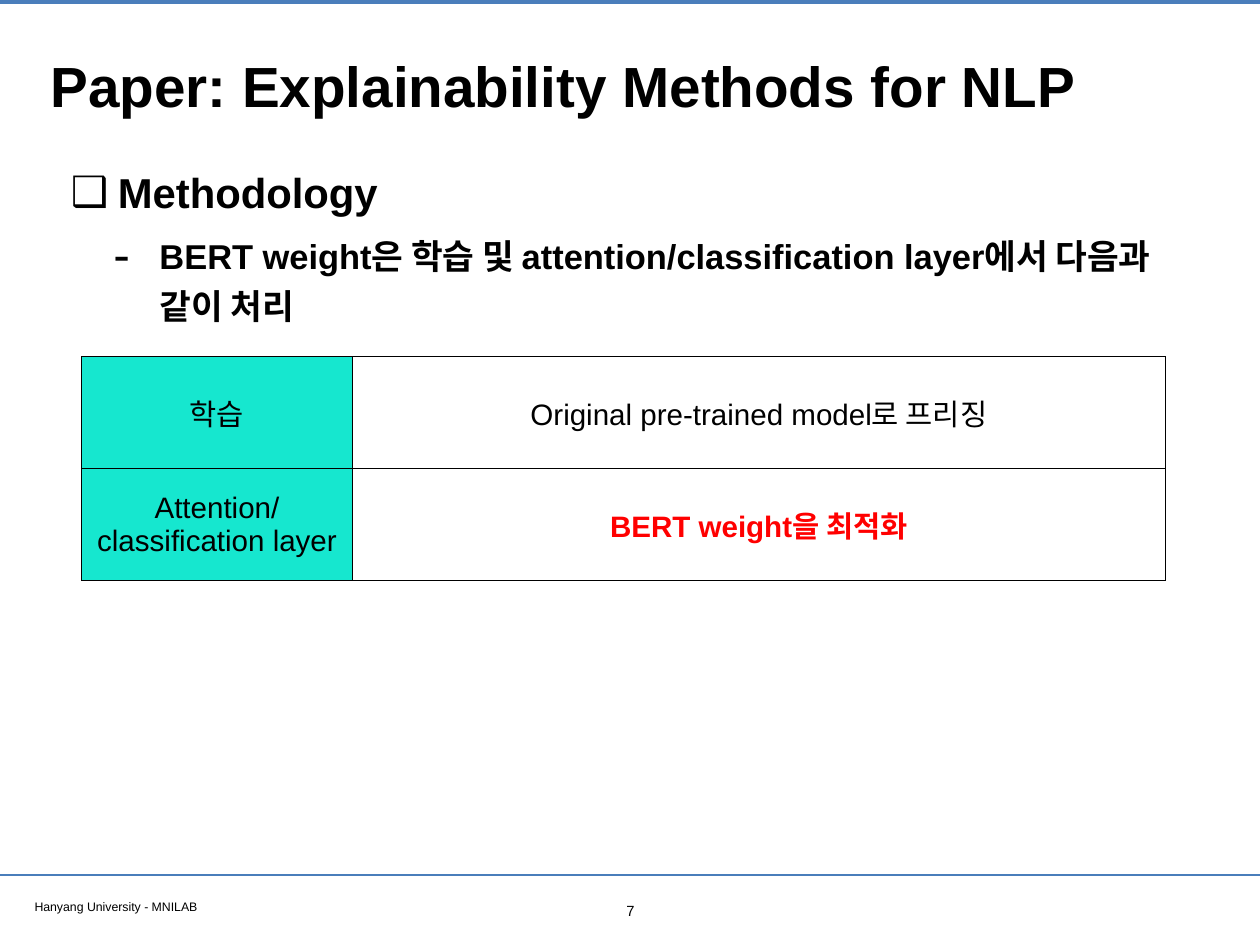
from lxml.etree import SubElement
from pptx import Presentation
from pptx.dml.color import RGBColor
from pptx.enum.shapes import MSO_CONNECTOR as Connector
from pptx.enum.text import MSO_ANCHOR as Anchor, PP_ALIGN as Align
from pptx.oxml.ns import qn
from pptx.util import Inches, Pt

COLORS = {"rule": "4A7EBB", "ink": "000000", "label": "16E7CF", "accent": "FF0000"}
TITLE = {"size": Pt(46), "bold": True}
HEADING = {"size": Pt(34), "bold": True}
DETAIL = {"size": Pt(28), "bold": True}
CELL = {"size": Pt(24), "bold": False}
KEY_CELL = {"size": Pt(24), "bold": True}
FOOTER = {"size": Pt(10)}
PAGE = {"size": Pt(12)}

POINTS = [
    ("Methodology", HEADING, "❑", 100, 0.53, -0.53),
    ("BERT weight은 학습 및 attention/classification layer에서 다음과 같이 처리",
     DETAIL, "-", 145, 1, -0.52),
]
WEIGHT_ROWS = [
    [("학습", CELL, "ink"), ("Original pre-trained model로 프리징", CELL, "ink")],
    [("Attention/classification layer", CELL, "ink"),
     ("BERT weight을 최적화", KEY_CELL, "accent")],
]


def rgb(key):
    return RGBColor.from_string(COLORS[key])


def write(paragraph, words, style, color="ink"):
    run = paragraph.add_run()
    run.text = words
    for name, value in {"name": "Arial", **style}.items():
        setattr(run.font, name, value)
    run.font.color.rgb = rgb(color)


def add_frame(slide, box, anchor=Anchor.TOP):
    frame = slide.shapes.add_textbox(*map(Inches, box)).text_frame
    settings = {"word_wrap": True, "vertical_anchor": anchor}
    settings.update({f"margin_{side}": Inches(0.06)
                     for side in ("left", "top", "right", "bottom")})
    for name, value in settings.items():
        setattr(frame, name, value)
    return frame


def add_label(slide, box, words, style, anchor=Anchor.TOP, align=Align.LEFT):
    paragraph = add_frame(slide, box, anchor).paragraphs[0]
    paragraph.alignment = align
    write(paragraph, words, style)


def add_rule(slide, left, top, width, weight):
    rule = slide.shapes.add_connector(
        Connector.STRAIGHT, *map(Inches, (left, top, left + width, top)))
    rule.line.color.rgb = rgb("rule")
    rule.line.width = Pt(weight)
    SubElement(rule._element.spPr, qn("a:effectLst"))


def set_bullet(paragraph, mark, percent, margin, indent):
    props = paragraph._p.get_or_add_pPr()
    props.set("marL", str(Inches(margin)))
    props.set("indent", str(Inches(indent)))
    SubElement(props, qn("a:buSzPct"), val=str(percent * 1000))
    SubElement(props, qn("a:buFont"), typeface="Arial")
    SubElement(props, qn("a:buChar"), char=mark)


def add_points(slide, box):
    frame = add_frame(slide, box)
    for index, (words, style, mark, percent, margin, indent) in enumerate(POINTS):
        paragraph = frame.add_paragraph() if index else frame.paragraphs[0]
        set_bullet(paragraph, mark, percent, margin, indent)
        paragraph.line_spacing = 1.2
        paragraph.space_before = Pt(8 if index else 0)
        write(paragraph, words, style)


def set_borders(cell):
    props = cell._tc.get_or_add_tcPr()
    for index, side in enumerate(("lnL", "lnR", "lnT", "lnB")):
        border = SubElement(props, qn(f"a:{side}"), w=str(Pt(1)))
        fill = SubElement(border, qn("a:solidFill"))
        SubElement(fill, qn("a:srgbClr"), val=COLORS["ink"])
        props.insert(index, border)


def add_weight_table(slide, box):
    left, top, width, height = map(Inches, box)
    table = slide.shapes.add_table(2, 2, left, top, width, height).table
    for column, share in zip(table.columns, (0.25, 0.75)):
        column.width = int(width * share)
    for r, row in enumerate(WEIGHT_ROWS):
        table.rows[r].height = height // len(WEIGHT_ROWS)
        for c, (words, style, color) in enumerate(row):
            cell = table.cell(r, c)
            cell.vertical_anchor = Anchor.MIDDLE
            if c == 0:
                cell.fill.solid()
                cell.fill.fore_color.rgb = rgb("label")
            else:
                cell.fill.background()
            set_borders(cell)
            paragraph = cell.text_frame.paragraphs[0]
            paragraph.alignment = Align.CENTER
            write(paragraph, words, style, color)


def add_footer(slide, left, top, width):
    add_rule(slide, left, top, width, 2)
    add_label(slide, (left + 0.33, top + 0.21, 5.46, 0.26),
              "Hanyang University - MNILAB", FOOTER)
    add_label(slide, (left + width / 2 - 0.19, top + 0.24, 0.39, 0.31),
              "7", PAGE, align=Align.CENTER)


def main():
    deck = Presentation()
    deck.slide_width, deck.slide_height = Inches(14.22), Inches(10.67)
    slide = deck.slides.add_slide(deck.slide_layouts[6])
    add_rule(slide, 0, 0.02, 14.22, 3.2)
    add_label(slide, (0.51, 0.28, 13.21, 1.35),
              "Paper: Explainability Methods for NLP", TITLE, Anchor.MIDDLE)
    add_points(slide, (0.74, 1.71, 12.42, 2.1))
    add_weight_table(slide, (0.92, 4.03, 12.23, 2.53))
    add_footer(slide, 0, 9.88, 14.22)
    deck.save("out.pptx")


if __name__ == "__main__":
    main()
